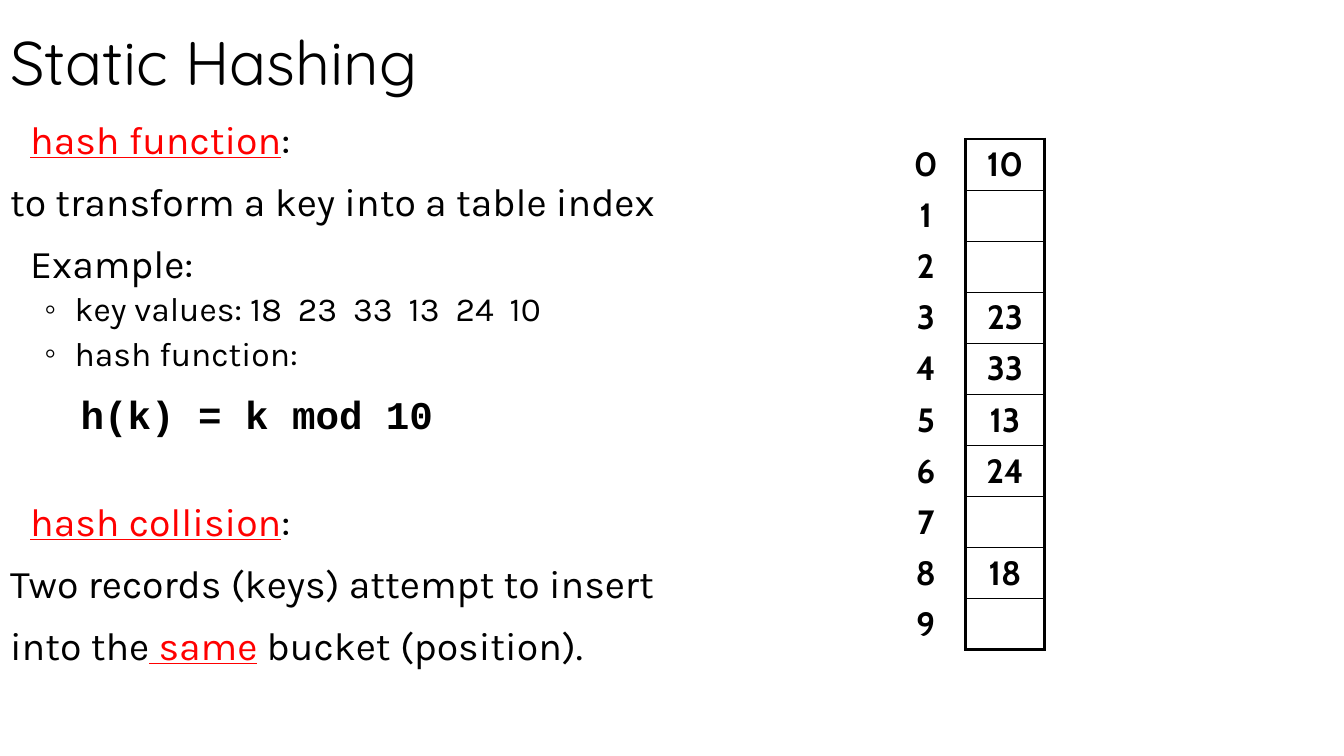
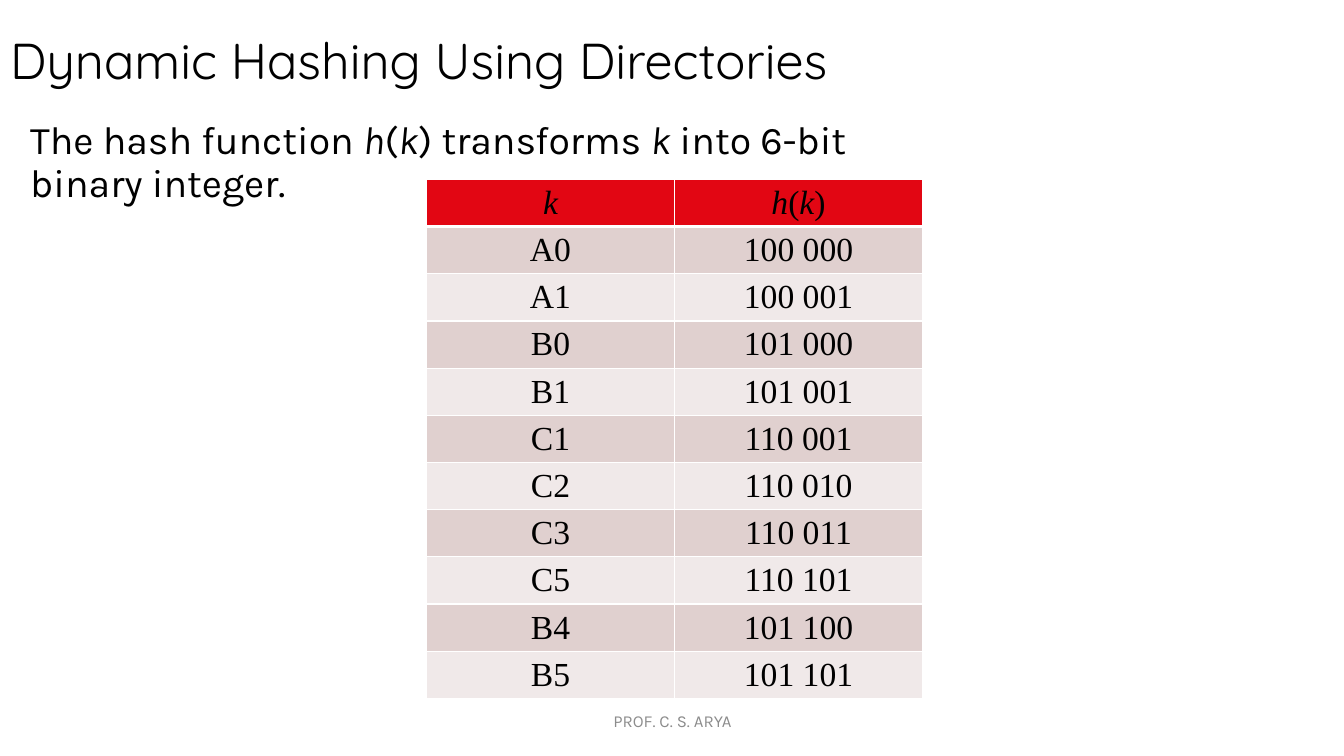
"""Build two slides on static and dynamic hashing."""
from pptx import Presentation
from pptx.dml.color import RGBColor
from pptx.enum.text import MSO_ANCHOR, MSO_AUTO_SIZE, PP_ALIGN
from pptx.oxml.ns import qn
from pptx.util import Inches, Pt
from lxml.etree import SubElement

BLACK = RGBColor(0x00, 0x00, 0x00)
WHITE = RGBColor(0xFF, 0xFF, 0xFF)
RED = RGBColor(0xFF, 0x00, 0x00)
GRAY = RGBColor(0x8C, 0x8C, 0x8C)
HEADER_RED = RGBColor(0xE2, 0x06, 0x13)
BANDS = (RGBColor(0xE0, 0xD0, 0xCF), RGBColor(0xF0, 0xE9, 0xE9))

TITLE_FONT, BODY_FONT, CODE_FONT = "Quicksand", "Karla", "Courier New"
BUCKET_FONT, KEY_FONT = "Cabin", "Times New Roman"
BULLET_FONT = "Times New Roman"

TERM = {"color": RED, "underline": True}
ITALIC = {"italic": True}
CODE = {"font": CODE_FONT, "bold": True}
SMALL = {"size": 24}

HEADING = {"left": 0.3}
PLAIN = {"left": 0.1}
BULLET = {"left": 0.74, "indent": -0.3, "bullet": "◦"}
FORMULA = {"left": 0.8}

STATIC_TEXT = [
    (HEADING, 0, [("hash function", TERM), (":", {})]),
    (PLAIN, 14, [("to transform a key into a table index", {})]),
    (HEADING, 14, [("Example:", {})]),
    (BULLET, 4, [("key values: 18  23  33  13  24  10", SMALL)]),
    (BULLET, 6, [("hash function:", SMALL)]),
    (FORMULA, 16, [("h(k) = k mod 10", CODE)]),
    (HEADING, 46, [("hash collision", TERM), (":", {})]),
    (PLAIN, 14, [("Two records (keys) attempt to insert", {})]),
    (PLAIN, 14, [("into the", {}), (" same", TERM), (" bucket (position).", {})]),
]
BUCKETS = 10
BUCKET_OF = {0: 10, 3: 23, 4: 33, 5: 13, 6: 24, 8: 18}

DYNAMIC_TEXT = [
    (HEADING, 0, [
        ("The hash function ", {}), ("h", ITALIC), ("(", {}), ("k", ITALIC),
        (") transforms ", {}), ("k", ITALIC), (" into 6-bit binary integer.", {}),
    ]),
]
HASH_HEADER = ([("k", ITALIC)], [("h", ITALIC), ("(", {}), ("k", ITALIC), (")", {})])
HASH_VALUES = [
    ("A0", "100 000"), ("A1", "100 001"), ("B0", "101 000"), ("B1", "101 001"),
    ("C1", "110 001"), ("C2", "110 010"), ("C3", "110 011"), ("C5", "110 101"),
    ("B4", "101 100"), ("B5", "101 101"),
]
FOOTER = "PROF. C. S. ARYA"


def add_runs(paragraph, runs, size=28, font=BODY_FONT, color=BLACK, bold=False):
    """Append styled runs to a paragraph."""
    for text, style in runs:
        run = paragraph.add_run()
        run.text = text
        run.font.name = style.get("font", font)
        run.font.size = Pt(style.get("size", size))
        run.font.color.rgb = style.get("color", color)
        run.font.bold = style.get("bold", bold)
        run.font.italic = style.get("italic", False)
        run.font.underline = style.get("underline", False)


def set_layout(paragraph, left, indent=0, bullet=None):
    """Set the margin, indent and bullet of a paragraph."""
    properties = paragraph._p.get_or_add_pPr()
    properties.set("marL", str(Inches(left)))
    properties.set("indent", str(Inches(indent)))
    if bullet:
        SubElement(properties, qn("a:buFont")).set("typeface", BULLET_FONT)
        SubElement(properties, qn("a:buChar")).set("char", bullet)


def add_title_slide(presentation, text, size, top, height):
    """Add a slide with a formatted title."""
    slide = presentation.slides.add_slide(presentation.slide_layouts[5])
    title = slide.shapes.title
    title.left, title.top = Inches(0), Inches(top)
    title.width, title.height = Inches(9), Inches(height)
    frame = title.text_frame
    frame.auto_size = MSO_AUTO_SIZE.NONE
    frame.vertical_anchor = MSO_ANCHOR.BOTTOM
    frame.margin_bottom = Inches(0.1)
    paragraph = frame.paragraphs[0]
    paragraph.alignment = PP_ALIGN.LEFT
    paragraph.line_spacing = 0.85
    add_runs(paragraph, [(text, {})], size, TITLE_FONT)
    return slide


def add_body(slide, content, width, height):
    """Add the main text of a slide."""
    box = slide.shapes.add_textbox(Inches(0), Inches(1.15), Inches(width), Inches(height))
    frame = box.text_frame
    frame.word_wrap = True
    frame.margin_left = frame.margin_right = 0
    for number, (layout, space, runs) in enumerate(content):
        paragraph = frame.add_paragraph() if number else frame.paragraphs[0]
        paragraph.line_spacing = 0.9
        if space:
            paragraph.space_before = Pt(space)
        set_layout(paragraph, **layout)
        add_runs(paragraph, runs)


def add_plain_table(slide, rows, left, top, width, height):
    """Add a two-column table with equal rows and no style flags."""
    table = slide.shapes.add_table(
        rows, 2, Inches(left), Inches(top), Inches(width), Inches(height)).table
    table.first_row = table.horz_banding = False
    return table


def format_cell(cell, runs, fill, font, bold, borders, border_color):
    """Fill a cell with centred text; borders maps sides to line widths."""
    cell.vertical_anchor = MSO_ANCHOR.MIDDLE
    cell.margin_top = cell.margin_bottom = Inches(0.01)
    paragraph = cell.text_frame.paragraphs[0]
    paragraph.alignment = PP_ALIGN.CENTER
    add_runs(paragraph, runs, 24, font, bold=bold)
    properties = cell._tc.get_or_add_tcPr()
    for side in "LRTB":
        if side in borders:
            line = SubElement(properties, qn("a:ln" + side), w=str(Pt(borders[side])))
            color = SubElement(SubElement(line, qn("a:solidFill")), qn("a:srgbClr"))
            color.set("val", str(border_color))
    cell.fill.solid()
    cell.fill.fore_color.rgb = fill


def add_bucket_table(slide):
    """Add the numbered buckets and the keys stored in them."""
    table = add_plain_table(slide, BUCKETS, 8.79, 1.38, 1.57, 5.07)
    for index in range(BUCKETS):
        stored = [(str(BUCKET_OF[index]), {})] if index in BUCKET_OF else []
        borders = {
            "L": 2.25, "R": 2.25,
            "T": 2.25 if index == 0 else 1,
            "B": 2.25 if index == BUCKETS - 1 else 1,
        }
        format_cell(table.cell(index, 0), [(str(index), {})], WHITE,
                    BUCKET_FONT, True, {"R": 2.25}, BLACK)
        format_cell(table.cell(index, 1), stored, WHITE,
                    BUCKET_FONT, True, borders, BLACK)


def add_hash_table(slide):
    """Add the table of keys and their binary hash values."""
    rows = [HASH_HEADER] + [[[(text, {})] for text in row] for row in HASH_VALUES]
    table = add_plain_table(slide, len(rows), 4.23, 1.78, 4.92, 5.15)
    for row, cells in enumerate(rows):
        fill = BANDS[(row - 1) % 2] if row else HEADER_RED
        borders = {"L": 1, "R": 1, "T": 3 if row == 1 else 1, "B": 1 if row else 3}
        for column, runs in enumerate(cells):
            format_cell(table.cell(row, column), runs, fill,
                        KEY_FONT, False, borders, WHITE)


def add_footer(slide):
    """Add the centred footer."""
    box = slide.shapes.add_textbox(Inches(4.42), Inches(6.95), Inches(4.5), Inches(0.4))
    frame = box.text_frame
    frame.word_wrap = True
    frame.vertical_anchor = MSO_ANCHOR.MIDDLE
    paragraph = frame.paragraphs[0]
    paragraph.alignment = PP_ALIGN.CENTER
    add_runs(paragraph, [(FOOTER, {})], 12, color=GRAY)


def main():
    """Build and save the presentation."""
    presentation = Presentation()
    presentation.slide_width, presentation.slide_height = Inches(13.33), Inches(7.5)

    static = add_title_slide(presentation, "Static Hashing", 44, 0.2, 0.87)
    add_body(static, STATIC_TEXT, 6.55, 5.55)
    add_bucket_table(static)

    dynamic = add_title_slide(
        presentation, "Dynamic Hashing Using Directories", 36, 0.3, 0.69)
    add_body(dynamic, DYNAMIC_TEXT, 9, 1.1)
    add_hash_table(dynamic)
    add_footer(dynamic)

    presentation.save("out.pptx")


if __name__ == "__main__":
    main()
